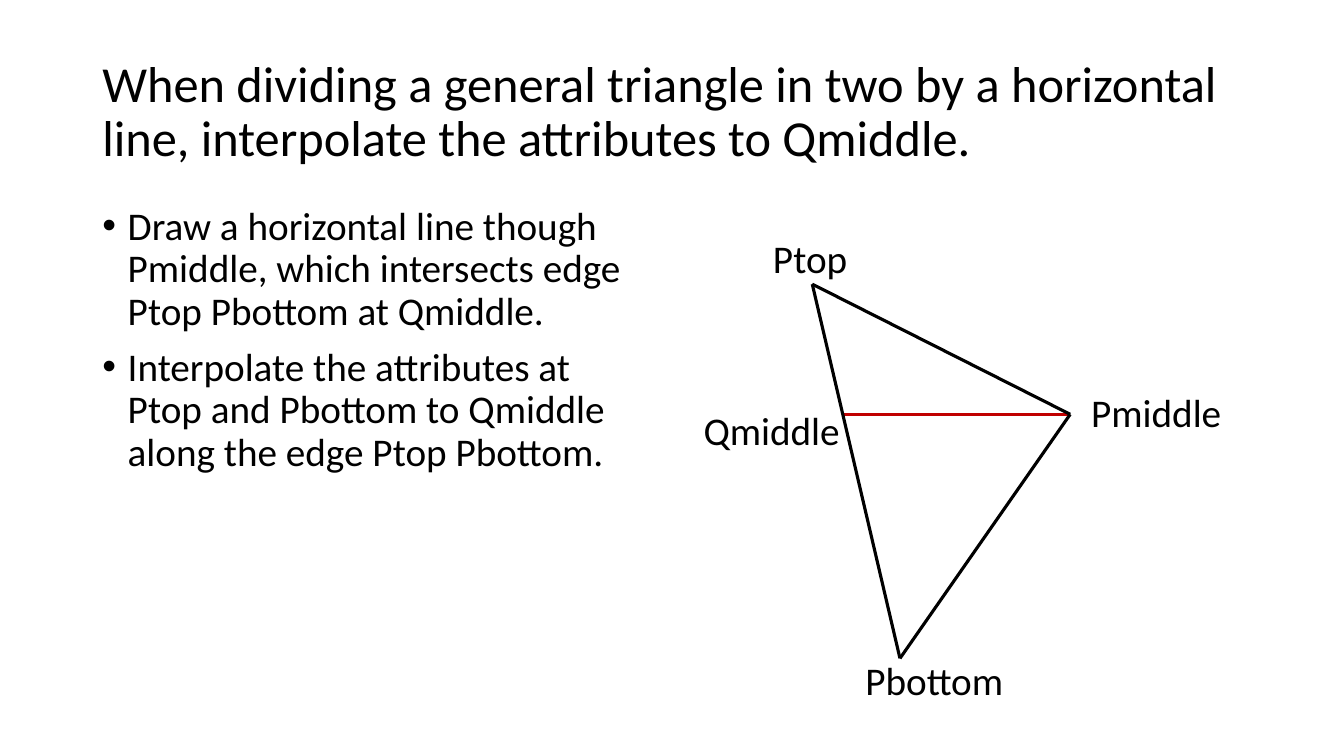
"""Build a slide on splitting a triangle by a horizontal line."""
from lxml.etree import SubElement
from pptx import Presentation
from pptx.dml.color import RGBColor
from pptx.enum.shapes import MSO_CONNECTOR
from pptx.enum.text import MSO_ANCHOR, MSO_AUTO_SIZE
from pptx.oxml.ns import qn
from pptx.util import Cm, Pt


def color(value):
    return RGBColor.from_string(value)


def add_text(*texts, box, size=28, anchor=MSO_ANCHOR.TOP, wrap=True,
             line_spacing=1.0, space_before=0, bullet=None):
    shape = slide.shapes.add_textbox(*(Cm(length) for length in box))
    frame = shape.text_frame
    frame.word_wrap = wrap
    frame.auto_size = MSO_AUTO_SIZE.NONE if wrap else MSO_AUTO_SIZE.SHAPE_TO_FIT_TEXT
    frame.vertical_anchor = anchor
    frame.text = "\n".join(texts)
    for paragraph in frame.paragraphs:
        paragraph.line_spacing = line_spacing
        paragraph.space_before = Pt(space_before)
        paragraph.font.size = Pt(size)
        paragraph.font.name = "Calibri"
        paragraph.font.color.rgb = color("000000")
        if bullet:
            properties = paragraph._p.get_or_add_pPr()
            properties.set("marL", str(Cm(0.64)))
            properties.set("indent", str(-Cm(0.64)))
            bullet_font = properties.makeelement(qn("a:buFont"), {"typeface": "Arial"})
            bullet_char = properties.makeelement(qn("a:buChar"), {"char": bullet})
            position = properties.index(properties.find(qn("a:defRPr")))
            properties.insert(position, bullet_font)
            properties.insert(position + 1, bullet_char)


presentation = Presentation()
presentation.slide_width = Cm(33.87)
presentation.slide_height = Cm(19.05)
slide = presentation.slides.add_slide(presentation.slide_layouts[6])

add_text(
    "When dividing a general triangle in two by a horizontal line, "
    "interpolate the attributes to Qmiddle.",
    box=(2.33, 1.01, 29.21, 3.68), size=36, anchor=MSO_ANCHOR.MIDDLE, line_spacing=0.9,
)
add_text(
    "Draw a horizontal line though Pmiddle, which intersects edge Ptop Pbottom at Qmiddle.",
    "Interpolate the attributes at Ptop and Pbottom to Qmiddle along the edge Ptop Pbottom.",
    box=(2.33, 5.08, 14.23, 12.78), line_spacing=0.9, space_before=10, bullet="•",
)

p_top, p_middle, p_bottom = (20.47, 7.16), (26.97, 10.44), (22.68, 16.59)
fraction = (p_middle[1] - p_top[1]) / (p_bottom[1] - p_top[1])
q_middle = (p_top[0] + fraction * (p_bottom[0] - p_top[0]), p_middle[1])

for start, end, line_color in [
    (q_middle, p_middle, "C00000"),
    (p_top, p_bottom, "000000"),
    (p_middle, p_bottom, "000000"),
    (p_top, p_middle, "000000"),
]:
    edge = slide.shapes.add_connector(
        MSO_CONNECTOR.STRAIGHT, *(Cm(length) for length in start + end))
    edge.line.color.rgb = color(line_color)
    edge.line.width = Pt(2.25)
    SubElement(edge._element.spPr, qn("a:effectLst"))

for label, left, top, width in [
    ("Qmiddle", 17.48, 10.11, 3.99),
    ("Ptop", 19.23, 5.77, 2.41),
    ("Pbottom", 21.56, 16.41, 4.04),
    ("Pmiddle", 27.25, 9.65, 3.84),
]:
    add_text(label, box=(left, top, width, 1.45), wrap=False)

presentation.save("out.pptx")
